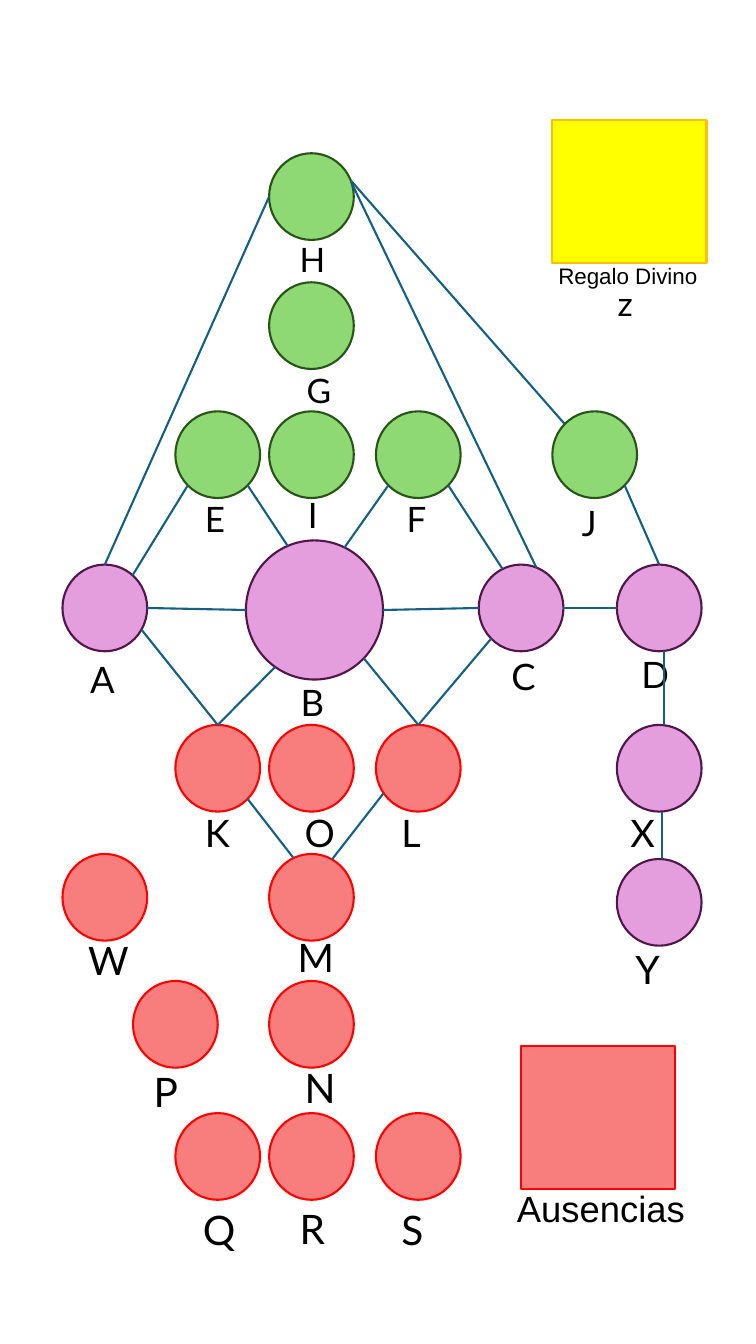
import math
from collections import namedtuple

from pptx import Presentation
from pptx import util as u
from pptx.dml.color import RGBColor
from pptx.enum import shapes, text
from pptx.oxml import parse_xml
from pptx.oxml.ns import nsdecls

WIDTH, HEIGHT = 7.5, 13.33
COLOURS = {
    "green": "8ED973", "dark green": "275417",
    "red": "F87E7E", "bright red": "FF0000",
    "violet": "E59EDD", "dark violet": "501649",
    "yellow": "FFFF00", "amber": "FFC000",
    "blue": "156082", "black": "000000",
}
GROUPS = {
    "green": ("green", "dark green"),
    "red": ("red", "bright red"),
    "violet": ("violet", "dark violet"),
    "gift": ("yellow", "amber"),
}
COLUMNS = [1.04, 1.74, 2.16, 3.09, 4.15, 5.17, 5.9, 6.54]
ROWS = [1.95, 3.23, 4.51, 6.03, 7.62, 8.9, 10.16, 11.47]
RADII = (0.42, 0.43)
CENTRE_RADII = (0.68, 0.69)
SQUARE = (1.53, 1.42)
LETTER_WIDTH, CAPTION_WIDTH = 0.43, 2.14

Member = namedtuple("Member", "group column row size label_dx label_dy")
MEMBERS = {
    "H": Member("green", 3, 0, 24, 0, 0.37),
    "G": Member("green", 3, 1, 24, 0.07, 0.39),
    "E": Member("green", 2, 2, 25, -0.01, 0.38),
    "I": Member("green", 3, 2, 25, 0.08, 0.34),
    "F": Member("green", 4, 2, 25, 0, 0.38),
    "J": Member("green", 6, 2, 25, -0.01, 0.42),
    "A": Member("violet", 0, 3, 26, -0.03, 0.44),
    "B": Member("violet", 3, 3, 26, -0.02, 0.65),
    "C": Member("violet", 5, 3, 26, 0.02, 0.41),
    "D": Member("violet", 7, 3, 26, -0.06, 0.39),
    "K": Member("red", 2, 4, 27, -0.01, 0.36),
    "O": Member("red", 3, 4, 27, 0.05, 0.36),
    "L": Member("red", 4, 4, 27, -0.05, 0.36),
    "X": Member("violet", 7, 4, 27, -0.17, 0.36),
    "W": Member("red", 0, 5, 28, -0.05, 0.34),
    "M": Member("red", 3, 5, 28, -0.02, 0.31),
    "Y": Member("violet", 7, 5, 28, -0.12, 0.38),
    "P": Member("red", 1, 6, 29, -0.1, 0.37),
    "N": Member("red", 3, 6, 29, 0.05, 0.33),
    "Q": Member("red", 2, 7, 29, -0.03, 0.43),
    "R": Member("red", 3, 7, 29, 0, 0.42),
    "S": Member("red", 4, 7, 29, -0.05, 0.43),
}
NUDGES = {"B": (0.03, 0.02), "Y": (0, 0.05)}
LINKS = [
    ("A", 90, "H", 180), ("H", 18, "C", 69), ("H", 22, "J", 135),
    ("J", 315, "D", 90), ("D", 277, "X", 83), ("X", 274, "Y", 86),
    ("F", 225, "B", 64), ("F", 315, "C", 116), ("E", 225, "A", 49),
    ("A", 0, "B", 180), ("B", 0, "C", 180), ("C", 0, "D", 180),
    ("A", 330, "K", 90), ("K", 90, "B", 235), ("B", 316, "L", 90),
    ("L", 90, "C", 225), ("K", 315, "M", 115), ("L", 215, "M", 61),
    ("E", 315, "B", 113),
]


def colour(name):
    return RGBColor.from_string(COLOURS[name])


def inches(*lengths):
    return [u.Inches(length) for length in lengths]


def apply(target, formats):
    for name, value in formats.items():
        setattr(target, name, value)


def centre(letter):
    member = MEMBERS[letter]
    dx, dy = NUDGES.get(letter, (0, 0))
    return COLUMNS[member.column] + dx, ROWS[member.row] + dy


def radii(letter):
    return CENTRE_RADII if letter == "B" else RADII


def rim(letter, degrees):
    (x, y), (rx, ry) = centre(letter), radii(letter)
    angle = math.radians(degrees)
    return x + rx * math.cos(angle), y - ry * math.sin(angle)


def add_figure(slide, kind, group, left, top, width, height):
    fill, outline = GROUPS[group]
    figure = slide.shapes.add_shape(kind, *inches(left, top, width, height))
    figure.shadow.inherit = False
    figure.fill.solid()
    figure.fill.fore_color.rgb = colour(fill)
    figure.line.color.rgb = colour(outline)
    figure.line.width = u.Pt(1.5)


def add_label(slide, words, left, top, width, size, font="Lato"):
    label = slide.shapes.add_textbox(*inches(left, top, width, size / 60 + 0.1))
    apply(label.text_frame, {
        "word_wrap": True,
        "auto_size": text.MSO_AUTO_SIZE.SHAPE_TO_FIT_TEXT,
    })
    run = label.text_frame.paragraphs[0].add_run()
    run.text = words
    apply(run.font, {"name": font, "size": u.Pt(size)})
    run.font.color.rgb = colour("black")


def add_member(slide, letter):
    member = MEMBERS[letter]
    (x, y), (rx, ry) = centre(letter), radii(letter)
    add_figure(slide, shapes.MSO_SHAPE.OVAL, member.group,
               x - rx, y - ry, 2 * rx, 2 * ry)
    add_label(slide, letter, x + member.label_dx - LETTER_WIDTH / 2,
              y + member.label_dy, LETTER_WIDTH, member.size)


def add_link(slide, start, start_angle, end, end_angle):
    link = slide.shapes.add_connector(
        shapes.MSO_CONNECTOR.STRAIGHT,
        *inches(*rim(start, start_angle), *rim(end, end_angle)))
    link.line.color.rgb = colour("blue")
    link.line.width = u.Pt(1.5)
    link._element.spPr.append(parse_xml(f"<a:effectLst {nsdecls('a')}/>"))


def main():
    deck = Presentation()
    apply(deck, {"slide_width": u.Inches(WIDTH), "slide_height": u.Inches(HEIGHT)})
    slide = deck.slides.add_slide(deck.slide_layouts[6])
    for group, left, top in (("gift", 5.48, 1.19), ("red", 5.17, 10.37)):
        add_figure(slide, shapes.MSO_SHAPE.RECTANGLE, group, left, top, *SQUARE)
    add_label(slide, "Regalo Divino", 5.44, 2.55, CAPTION_WIDTH - 0.12, 16, "Arial")
    add_label(slide, "z", 6.03, 2.76, LETTER_WIDTH, 24)
    add_label(slide, "Ausencias", 5.03, 11.71, CAPTION_WIDTH, 26, "Arial")
    for letter in MEMBERS:
        add_member(slide, letter)
    for link in LINKS:
        add_link(slide, *link)
    deck.save("out.pptx")


if __name__ == "__main__":
    main()
